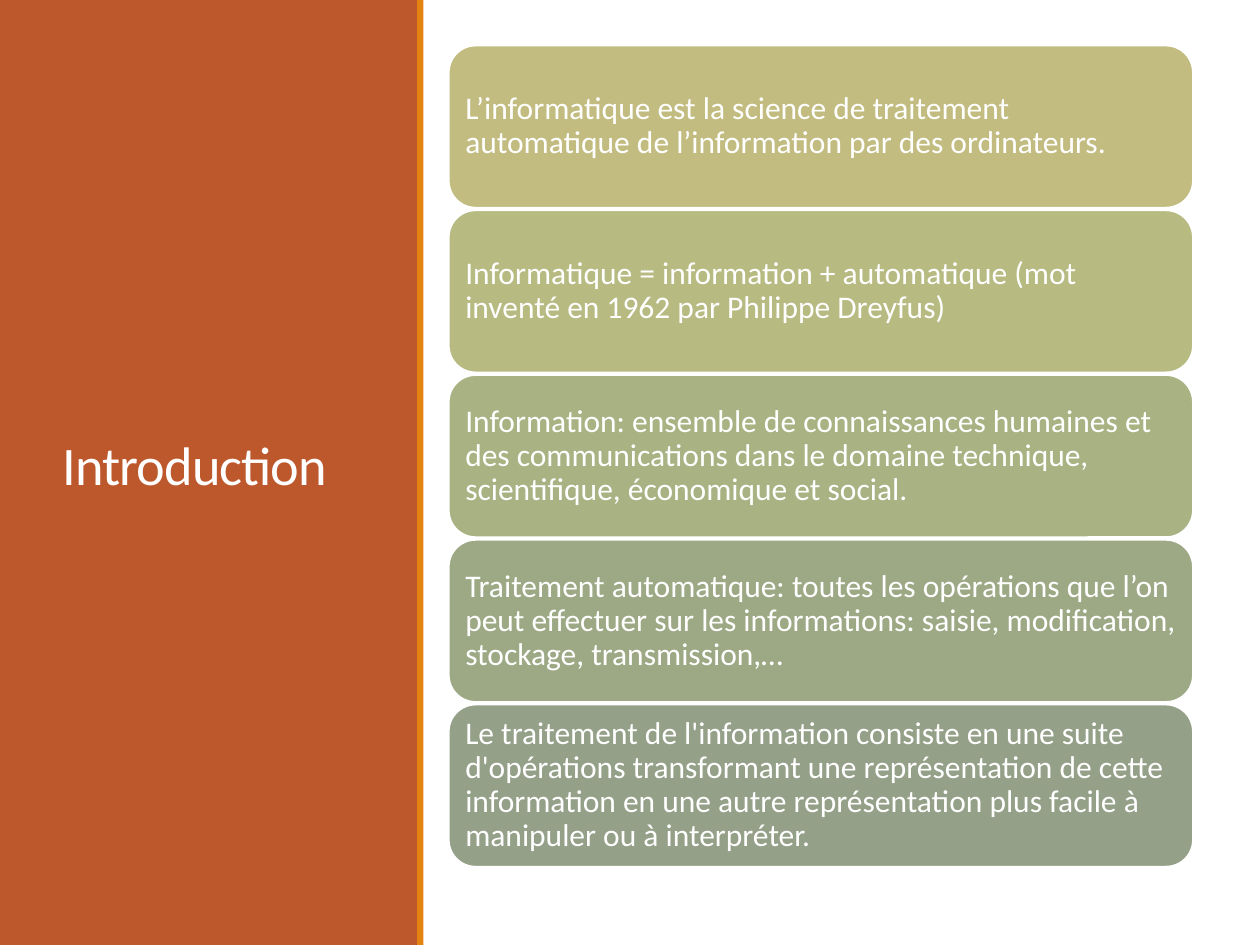
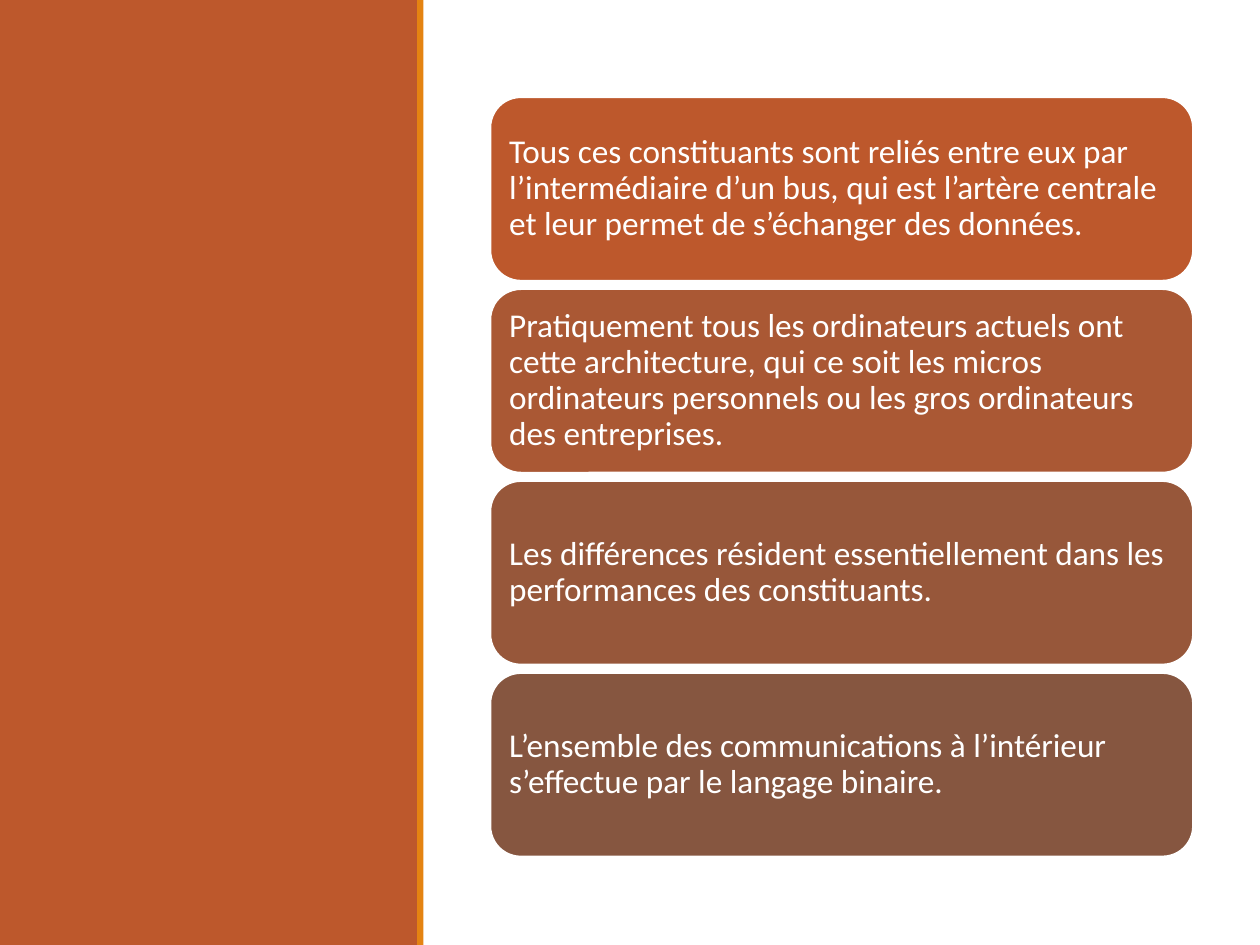
import pptx
import pptx.dml.color
import pptx.enum.shapes
import pptx.enum.text
import pptx.util

Inches = pptx.util.Inches
Pt = pptx.util.Pt
MSO_SHAPE = pptx.enum.shapes.MSO_SHAPE

FONT = "Calibri"
WHITE = "FFFFFF"
RUST = "BD582C"
ORANGE = "E48312"

DEFINITIONS = [
    ("C2BC80", "L’informatique est la science de traitement automatique de "
               "l’information par des ordinateurs."),
    ("B7BA81", "Informatique = information + automatique (mot inventé en 1962 "
               "par Philippe Dreyfus)"),
    ("A8B283", "Information: ensemble de connaissances humaines et des "
               "communications dans le domaine technique, scientifique, "
               "économique et social."),
    ("9DA985", "Traitement automatique: toutes les opérations que l’on peut "
               "effectuer sur les informations: saisie, modification, "
               "stockage, transmission,…"),
    ("94A088", "Le traitement de l'information consiste en une suite "
               "d'opérations transformant une représentation de cette "
               "information en une autre représentation plus facile à "
               "manipuler ou à interpréter."),
]

ARCHITECTURE = [
    (RUST, "Tous ces constituants sont reliés entre eux par l’intermédiaire "
           "d’un bus, qui est l’artère centrale et leur permet de s’échanger "
           "des données."),
    ("AA5834", "Pratiquement tous les ordinateurs actuels ont cette "
               "architecture, qui ce soit les micros ordinateurs personnels "
               "ou les gros ordinateurs des entreprises."),
    ("97573A", "Les différences résident essentiellement dans les "
               "performances des constituants."),
    ("865640", "L’ensemble des communications à l’intérieur s’effectue par le "
               "langage binaire."),
]


def rgb(color):
    return pptx.dml.color.RGBColor.from_string(color)


def add_block(slide, kind, left, top, width, height, fill):
    sp = slide.shapes.add_shape(kind, Inches(left), Inches(top),
                                Inches(width), Inches(height))
    sp.shadow.inherit = False
    sp.fill.solid()
    sp.fill.fore_color.rgb = rgb(fill)
    sp.line.fill.background()
    return sp


def write(sp, text, size, line_spacing):
    tf = sp.text_frame
    tf.word_wrap = True
    tf.vertical_anchor = pptx.enum.text.MSO_ANCHOR.MIDDLE
    p = tf.paragraphs[0]
    p.alignment = pptx.enum.text.PP_ALIGN.LEFT
    p.line_spacing = line_spacing
    r = p.add_run()
    r.text = text
    r.font.name = FONT
    r.font.size = Pt(size)
    r.font.color.rgb = rgb(WHITE)
    return r


def add_side_panel_slide(prs):
    slide = prs.slides.add_slide(prs.slide_layouts[6])
    add_block(slide, MSO_SHAPE.RECTANGLE, 0, 0, 3.32, 7.5, RUST)
    add_block(slide, MSO_SHAPE.RECTANGLE, 3.31, 0, 0.05, 7.5, ORANGE)
    return slide


def add_title(slide, text):
    sp = slide.shapes.add_textbox(Inches(0.4), Inches(0.57),
                                  Inches(2.53), Inches(6.31))
    r = write(sp, text, 31, 0.85)
    r.font._element.set("spc", "-50")


def add_card(slide, left, top, width, height, fill, text, size, inset):
    sp = add_block(slide, MSO_SHAPE.ROUNDED_RECTANGLE,
                   left, top, width, height, fill)
    sp.line.color.rgb = rgb(WHITE)
    sp.line.width = Pt(1.25)
    tf = sp.text_frame
    tf.margin_left = tf.margin_right = Inches(inset)
    tf.margin_top = tf.margin_bottom = Inches(inset)
    write(sp, text, size, 0.9)


def add_card_stack(slide, cards, left, top, width, height, bottom, size, inset):
    pitch = (bottom - height - top) / (len(cards) - 1)
    for i, (fill, text) in enumerate(cards):
        add_card(slide, left, top + i * pitch, width, height,
                 fill, text, size, inset)


def main():
    prs = pptx.Presentation()
    prs.slide_width = Inches(10)
    prs.slide_height = Inches(7.5)

    slide = add_side_panel_slide(prs)
    add_title(slide, "Introduction")
    add_card_stack(slide, DEFINITIONS, left=3.56, top=0.36, width=5.91,
                   height=1.29, bottom=6.88, size=18, inset=0.07)

    slide = add_side_panel_slide(prs)
    add_card_stack(slide, ARCHITECTURE, left=3.89, top=0.77, width=5.58,
                   height=1.46, bottom=6.8, size=19, inset=0.08)

    prs.save("out.pptx")


if __name__ == "__main__":
    main()
